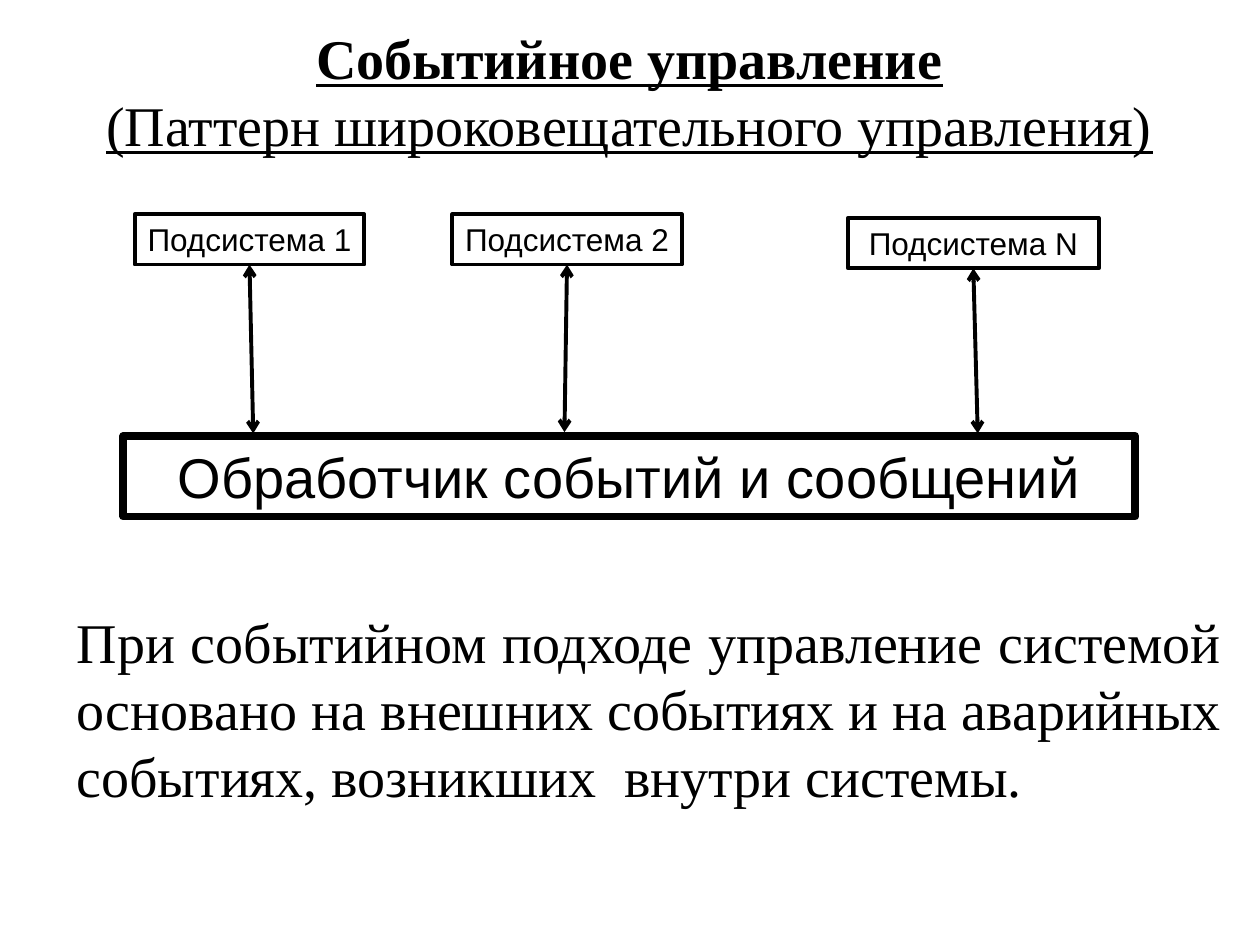
from copy import deepcopy

from pptx import Presentation
from pptx.dml.color import RGBColor
from pptx.enum.shapes import MSO_CONNECTOR, MSO_SHAPE
from pptx.enum.text import MSO_ANCHOR, MSO_AUTO_SIZE, PP_ALIGN
from pptx.oxml.ns import qn
from pptx.oxml.xmlchemy import OxmlElement
from pptx.util import Inches, Pt

# Content
BLACK = "000000"
SERIF, SANS = "Times New Roman", "Arial"
TITLE = [
    ("Событийное управление", True),
    ("(Паттерн широковещательного управления)", False),
]
TITLE_PLACE = (0.27, 0.21, 9.45, 1.02)
# Name, box place, wrap, arrow end
SUBSYSTEMS = [
    ("Подсистема 1", (1.07, 1.7, 1.82, 0.4), False, (2.01, 3.44)),
    ("Подсистема 2", (3.59, 1.7, 1.82, 0.4), False, (4.48, 3.43)),
    ("Подсистема N", (6.73, 1.73, 1.99, 0.4), True, (7.76, 3.44)),
]
HANDLER = ("Обработчик событий и сообщений", (0.98, 3.46, 8.03, 0.64))
SUMMARY = (
    "При событийном подходе управление системой основано на внешних событиях "
    "и на аварийных событиях, возникших  внутри системы."
)
SUMMARY_PLACE = (0.51, 4.77, 9.29, 2.24)


def color(value):
    return RGBColor.from_string(value)


def inches(values):
    return [Inches(value) for value in values]


def add_span(para, text, **formats):
    span = para.add_run()
    span.text = text
    for name, value in formats.items():
        setattr(span.font, name, value)
    span.font.color.rgb = color(BLACK)
    return span


def write(box, text, font, size, align, wrap=True):
    frame = box.text_frame
    frame.word_wrap = wrap
    frame.vertical_anchor = MSO_ANCHOR.TOP
    para = frame.paragraphs[0]
    para.alignment = align
    add_span(para, text, name=font, size=Pt(size))


def add_box(page, text, place, size, line_width, wrap=True):
    box = page.shapes.add_shape(MSO_SHAPE.RECTANGLE, *inches(place))
    box.shadow.inherit = False
    box.fill.background()
    box.line.color.rgb = color(BLACK)
    box.line.width = Pt(line_width)
    write(box, text, SANS, size, PP_ALIGN.CENTER, wrap)
    return box


def add_arrow(page, box, end):
    arrow = page.shapes.add_connector(MSO_CONNECTOR.STRAIGHT, 0, 0, *inches(end))
    arrow.begin_connect(box, 2)
    arrow.line.color.rgb = color(BLACK)
    arrow.line.width = Pt(2.25)
    line = arrow.line._get_or_add_ln()
    for tag in ("a:headEnd", "a:tailEnd"):
        head = OxmlElement(tag)
        head.set("type", "arrow")
        line.append(head)
    arrow._element.spPr.append(OxmlElement("a:effectLst"))


def fill_title(title):
    title.left, title.top, title.width, title.height = inches(TITLE_PLACE)
    frame = title.text_frame
    frame.auto_size = MSO_AUTO_SIZE.NONE
    frame.vertical_anchor = MSO_ANCHOR.MIDDLE
    for side in ("left", "top", "right", "bottom"):
        setattr(frame, f"margin_{side}", 0)
    para = frame.paragraphs[0]
    para.alignment = PP_ALIGN.CENTER
    for index, (text, bold) in enumerate(TITLE):
        if index:
            para.add_line_break()
        span = add_span(para, text, name=SERIF, size=Pt(32), bold=bold, underline=True)
    # The line break takes the text size of the title
    for line_break in para._p.findall(qn("a:br")):
        line_break.append(deepcopy(span._r.rPr))


def main():
    deck = Presentation()
    deck.slide_width, deck.slide_height = inches((10, 7.5))
    page = deck.slides.add_slide(deck.slide_layouts[5])
    fill_title(page.shapes.title)

    # Event diagram
    text, place = HANDLER
    add_box(page, text, place, 32, 4.5)
    for name, place, wrap, end in SUBSYSTEMS:
        box = add_box(page, name, place, 18, 2.25, wrap)
        add_arrow(page, box, end)

    # Summary
    summary = page.shapes.add_textbox(*inches(SUMMARY_PLACE))
    write(summary, SUMMARY, SERIF, 32, PP_ALIGN.JUSTIFY)

    deck.save("out.pptx")


if __name__ == "__main__":
    main()
